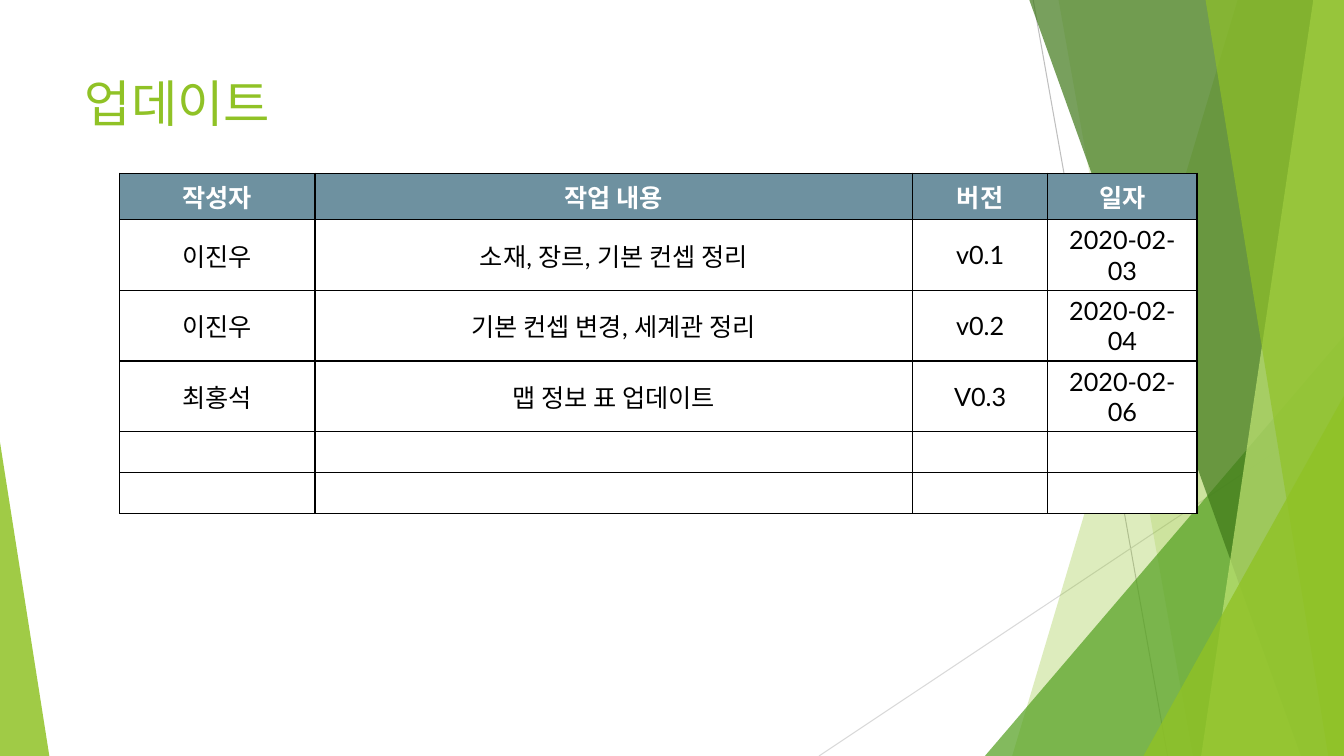
from lxml import etree
from pptx import Presentation
from pptx.dml.color import RGBColor
from pptx.enum.shapes import MSO_CONNECTOR, MSO_SHAPE
from pptx.enum.text import MSO_ANCHOR, MSO_AUTO_SIZE, PP_ALIGN
from pptx.oxml.ns import qn
from pptx.util import Pt

PX = 9525
W, H = 1280, 720
FONT = "Lato"
TRIANGLE = MSO_SHAPE.ISOSCELES_TRIANGLE
STRAIGHT = MSO_CONNECTOR.STRAIGHT
CENTER, LEFT = PP_ALIGN.CENTER, PP_ALIGN.LEFT
MIDDLE, TOP = MSO_ANCHOR.MIDDLE, MSO_ANCHOR.TOP
NO_AUTOFIT = MSO_AUTO_SIZE.NONE

LIME = RGBColor(0x90, 0xC2, 0x26)
PALE_LIME = RGBColor(0xC0, 0xE4, 0x74)
GREEN = RGBColor(0x54, 0xA0, 0x21)
DARK_GREEN = RGBColor(0x3F, 0x78, 0x19)
GRAY = RGBColor(0xBF, 0xBF, 0xBF)
LIGHT_GRAY = RGBColor(0xD9, 0xD9, 0xD9)
SLATE = RGBColor(0x6E, 0x91, 0xA0)
WHITE = RGBColor(0xFF, 0xFF, 0xFF)
BLACK = RGBColor(0, 0, 0)

COLUMNS = [186, 569, 129, 142]
ROW_HEIGHT = 39
UPDATES = [
    ["작성자", "작업 내용", "버전", "일자"],
    ["이진우", "소재, 장르, 기본 컨셉 정리", "v0.1", "2020-02-03"],
    ["이진우", "기본 컨셉 변경, 세계관 정리", "v0.2", "2020-02-04"],
    ["최홍석", "맵 정보 표 업데이트", "V0.3", "2020-02-06"],
    [""] * 4,
    [""] * 4,
]


def px(*lengths):
    return [n * PX for n in lengths]


def paint(sp, color, opacity):
    """Fill a shape with a translucent colour, without line or shadow."""
    sp.shadow.inherit = False
    sp.line.fill.background()
    sp.fill.solid()
    sp.fill.fore_color.rgb = color
    clr = sp._element.spPr.find(qn("a:solidFill"))[0]
    etree.SubElement(clr, qn("a:alpha"), val=str(opacity * 1000))


def add_line(slide, start, end, color):
    line = slide.shapes.add_connector(STRAIGHT, *px(*start, *end))
    line.line.color.rgb = color
    line.line.width = Pt(0.75)
    etree.SubElement(line._element.spPr, qn("a:effectLst"))


def add_ribbon(slide, top_x, bottom_x, color, opacity):
    """Draw a full-height band from a slanted left edge to the slide's right edge."""
    builder = slide.shapes.build_freeform(top_x, -1, scale=PX)
    builder.add_line_segments([(W, -1), (W, H), (bottom_x, H)], close=True)
    paint(builder.convert_to_shape(), color, opacity)


def add_corner(slide, left, top, width, apex, color, opacity):
    """Draw a right triangle standing on the slide's bottom edge."""
    sp = slide.shapes.add_shape(TRIANGLE, *px(left, top, width, H - top))
    sp.adjustments[0] = apex
    paint(sp, color, opacity)


def add_backdrop(slide):
    add_line(slide, (984, 0), (1112, H), GRAY)
    add_line(slide, (W, 387), (780, H), LIGHT_GRAY)
    add_ribbon(slide, 1179, 964, LIME, 30)
    add_ribbon(slide, 1008, 1136, LIME, 20)
    add_corner(slide, 938, 320, W - 938, 1, GREEN, 72)
    add_ribbon(slide, 980, 1239, DARK_GREEN, 70)
    add_ribbon(slide, 1251, 1144, PALE_LIME, 70)
    add_ribbon(slide, 1148, 1265, LIME, 65)
    add_corner(slide, 1089, 377, W - 1089, 1, LIME, 80)
    add_corner(slide, 0, 421, 47, 0, LIME, 85)


def add_run(p, text, size, color, bold=False):
    r = p.add_run()
    r.text = text
    r.font.name = FONT
    r.font.size = Pt(size)
    r.font.bold = bold
    r.font.color.rgb = color


def add_title(slide, text, left, top, width, height):
    title = slide.shapes.title
    title.left, title.top, title.width, title.height = px(left, top, width, height)
    slide.shapes._spTree.append(title._element)
    tf = title.text_frame
    tf.word_wrap = True
    tf.auto_size = NO_AUTOFIT
    tf.vertical_anchor = TOP
    p = tf.paragraphs[0]
    p.alignment = LEFT
    add_run(p, text, 36, LIME)


def add_borders(cell):
    tcPr = cell._tc.get_or_add_tcPr()
    for side in ("lnL", "lnR", "lnT", "lnB"):
        ln = etree.SubElement(tcPr, qn(f"a:{side}"), w=str(Pt(1)))
        fill = etree.SubElement(ln, qn("a:solidFill"))
        etree.SubElement(fill, qn("a:srgbClr"), val=str(BLACK))


def add_update_table(slide, left, top):
    box = px(left, top, sum(COLUMNS), ROW_HEIGHT * len(UPDATES))
    table = slide.shapes.add_table(len(UPDATES), len(COLUMNS), *box).table
    table.horz_banding = False
    for column, width in zip(table.columns, COLUMNS):
        column.width = width * PX
    for i, values in enumerate(UPDATES):
        header = i == 0
        for j, value in enumerate(values):
            cell = table.cell(i, j)
            add_borders(cell)
            cell.fill.solid()
            cell.fill.fore_color.rgb = SLATE if header else WHITE
            cell.vertical_anchor = MIDDLE
            p = cell.text_frame.paragraphs[0]
            p.alignment = CENTER
            if value:
                add_run(p, value, 18, WHITE if header else BLACK, header)


def main():
    prs = Presentation()
    prs.slide_width, prs.slide_height = px(W, H)
    slide = prs.slides.add_slide(prs.slide_layouts[5])
    add_backdrop(slide)
    add_title(slide, "업데이트", 71, 64, 902, 138)
    add_update_table(slide, 114, 165)
    prs.save("out.pptx")


if __name__ == "__main__":
    main()
